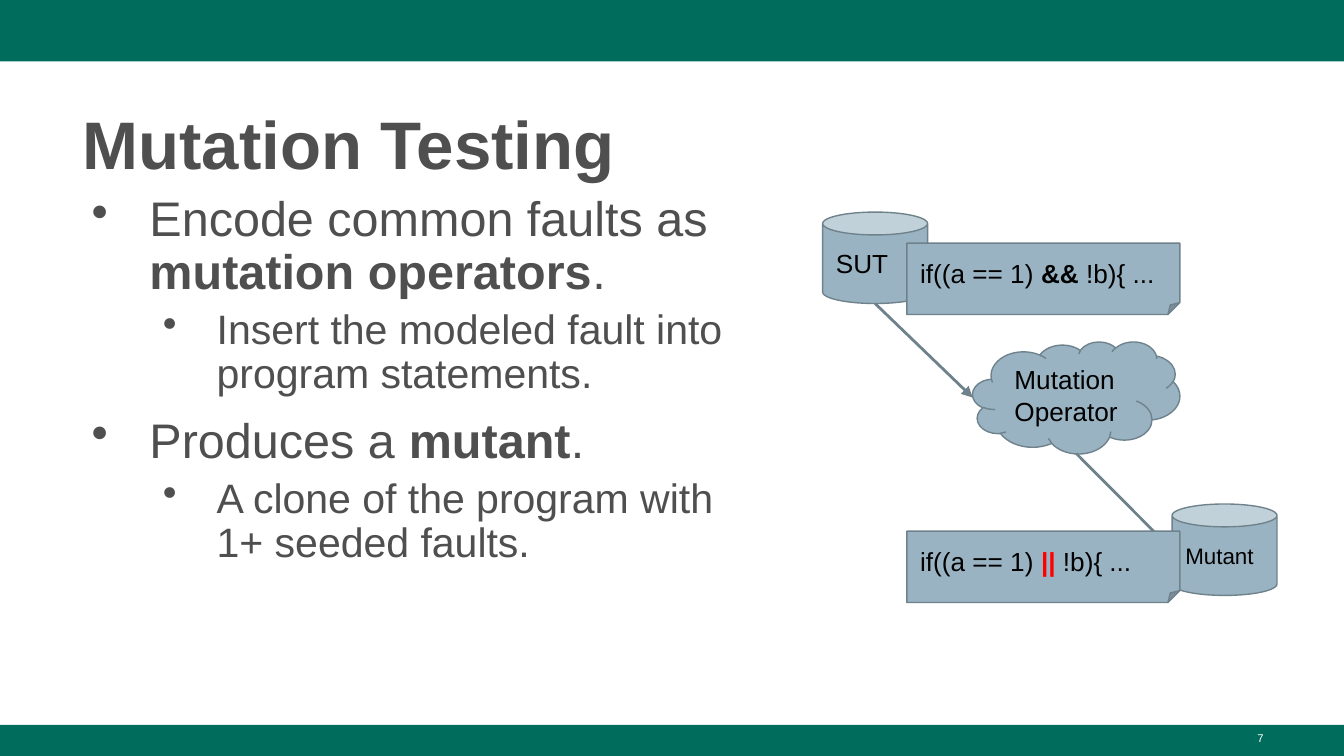
from lxml.etree import SubElement
from pptx import Presentation
from pptx.dml.color import RGBColor
from pptx.enum.shapes import MSO_CONNECTOR, MSO_SHAPE
from pptx.enum.text import MSO_ANCHOR, PP_ALIGN
from pptx.oxml.ns import qn
from pptx.util import Pt

GREEN = RGBColor(0x00, 0x6C, 0x5C)
GRAY = RGBColor(0x4F, 0x4F, 0x4F)
BLUE = RGBColor(0x99, 0xB3, 0xC2)
EDGE = RGBColor(0x6F, 0x82, 0x8C)
BLACK = RGBColor(0, 0, 0)
RED = RGBColor(0xFF, 0, 0)
WHITE = RGBColor(0xFF, 0xFF, 0xFF)
W, H = 720, 405


def add_text(p, text, size=14, color=BLACK, bold=False):
    """Add one formatted run to a paragraph."""
    r = p.add_run()
    r.text = text
    r.font.name, r.font.size, r.font.bold = "Arial", Pt(size), bold
    r.font.color.rgb = color


def set_frame(tf, anchor, inset_y):
    """Set wrapping, anchor and insets of a text frame."""
    tf.word_wrap = True
    tf.vertical_anchor = anchor
    tf.margin_left = tf.margin_right = Pt(7.2)
    tf.margin_top = tf.margin_bottom = Pt(inset_y)


def add_shape(s, kind, box, fill, line=None):
    """Add a flat preset shape with an optional outline."""
    sp = s.shapes.add_shape(kind, *map(Pt, box))
    sp.shadow.inherit = False
    sp.fill.solid()
    sp.fill.fore_color.rgb = fill
    if line is None:
        sp.line.fill.background()
    else:
        sp.line.color.rgb = line
        sp.line.width = Pt(0.75)
    return sp


def add_node(s, kind, box, runs):
    """Add a labelled diagram shape; runs are (text, format) pairs."""
    sp = add_shape(s, kind, box, BLUE, EDGE)
    set_frame(sp.text_frame, MSO_ANCHOR.MIDDLE, 7.2)
    p = sp.text_frame.paragraphs[0]
    p.alignment = PP_ALIGN.LEFT
    for text, fmt in runs:
        add_text(p, text, **fmt)


def add_arrow(s, start, end):
    """Add a straight arrow between two points."""
    cx = s.shapes.add_connector(MSO_CONNECTOR.STRAIGHT, *map(Pt, start + end))
    cx.line.color.rgb = EDGE
    cx.line.width = Pt(1.5)
    spPr = cx._element.spPr
    SubElement(spPr.find(qn("a:ln")), qn("a:tailEnd"), type="triangle")
    SubElement(spPr, qn("a:effectLst"))


def add_bands(s, number):
    """Draw the top and bottom bands and the slide number."""
    foot = 388.3
    add_shape(s, MSO_SHAPE.RECTANGLE, (0, 0, W, 33), GREEN)
    add_shape(s, MSO_SHAPE.RECTANGLE, (0, foot, W, H - foot), GREEN)
    tb = s.shapes.add_textbox(Pt(516), Pt(foot), Pt(168), Pt(H - foot))
    set_frame(tb.text_frame, MSO_ANCHOR.TOP, 3.6)
    p = tb.text_frame.paragraphs[0]
    p.alignment = PP_ALIGN.RIGHT
    add_text(p, number, 6, WHITE)


def add_title(s, box, text):
    """Place and fill the title placeholder."""
    sp = s.shapes.title
    sp.left, sp.top, sp.width, sp.height = map(Pt, box)
    set_frame(sp.text_frame, MSO_ANCHOR.MIDDLE, 3.6)
    p = sp.text_frame.paragraphs[0]
    p.alignment = PP_ALIGN.LEFT
    p.line_spacing = 1.08
    add_text(p, text, 36, GRAY, True)


def add_bullets(s, box, items):
    """Add a two-level bullet list; items are (level, runs) pairs."""
    levels = ((26, 36, -31, 10), (22, 72, -28.8, 5))
    tf = s.shapes.add_textbox(*map(Pt, box)).text_frame
    set_frame(tf, MSO_ANCHOR.TOP, 3.6)
    for i, (level, runs) in enumerate(items):
        size, margin, indent, before = levels[level]
        p = tf.add_paragraph() if i else tf.paragraphs[0]
        p.level = level
        pPr = p._p.get_or_add_pPr()
        pPr.set("marL", str(Pt(margin)))
        pPr.set("indent", str(Pt(indent)))
        clr = SubElement(pPr, qn("a:buClr"))
        SubElement(clr, qn("a:srgbClr"), val=str(GRAY))
        SubElement(pPr, qn("a:buChar"), char="•")
        p.line_spacing = 0.9
        p.space_before = Pt(before if i else 0)
        for text, bold in runs:
            add_text(p, text, size, GRAY, bold)


def add_diagram(s, x, y, w, h):
    """Draw the path from the tested system through the operator to the mutant."""
    can_w, can_h = 56.2, 49
    note_w, note_h, note_x = 146.2, 38.2, x + 45.2
    cloud_w, cloud_h = 111, 60
    cloud_x, cloud_y = note_x + note_w - cloud_w, y + 69.4
    mutant_x, mutant_y = x + w - can_w, y + h - can_h - 3.8

    cans = ((x, y, "SUT", 14), (mutant_x, mutant_y, "Mutant", 12))
    for left, top, text, size in cans:
        add_node(s, MSO_SHAPE.CAN, (left, top, can_w, can_h),
                 [(text, {"size": size})])
    add_node(s, MSO_SHAPE.CLOUD, (cloud_x, cloud_y, cloud_w, cloud_h),
             [("Mutation Operator", {})])
    add_arrow(s, (x + can_w / 2, y + can_h), (cloud_x, cloud_y + cloud_h / 2))
    add_arrow(s, (cloud_x + cloud_w / 2, cloud_y + cloud_h),
              (mutant_x, mutant_y + can_h / 2))
    notes = (
        (y + 16.7, [("if((a == 1) ", {}), ("&&", {"bold": True}),
                    (" !b){ ...", {})]),
        (y + h - note_h, [("if((a == 1)", {}),
                          (" || ", {"color": RED, "bold": True}),
                          ("!b){ ...", {})]),
    )
    for top, runs in notes:
        add_node(s, MSO_SHAPE.FOLDED_CORNER, (note_x, top, note_w, note_h),
                 runs)


def main():
    """Build the slide and save it."""
    prs = Presentation()
    prs.slide_width, prs.slide_height = Pt(W), Pt(H)
    s = prs.slides.add_slide(prs.slide_layouts[5])
    add_bands(s, "7")
    add_title(s, (37, 48.4, 647, 52.4), "Mutation Testing")
    add_bullets(s, (37, 100.8, 381, 274), [
        (0, [("Encode common faults as ", False),
             ("mutation operators", True), (".", False)]),
        (1, [("Insert the modeled fault into program statements.", False)]),
        (0, [("Produces a ", False), ("mutant", True), (".", False)]),
        (1, [("A clone of the program with 1+ seeded faults.", False)]),
    ])
    add_diagram(s, 440.7, 113.6, 243.4, 209.2)
    prs.save("out.pptx")


if __name__ == "__main__":
    main()
